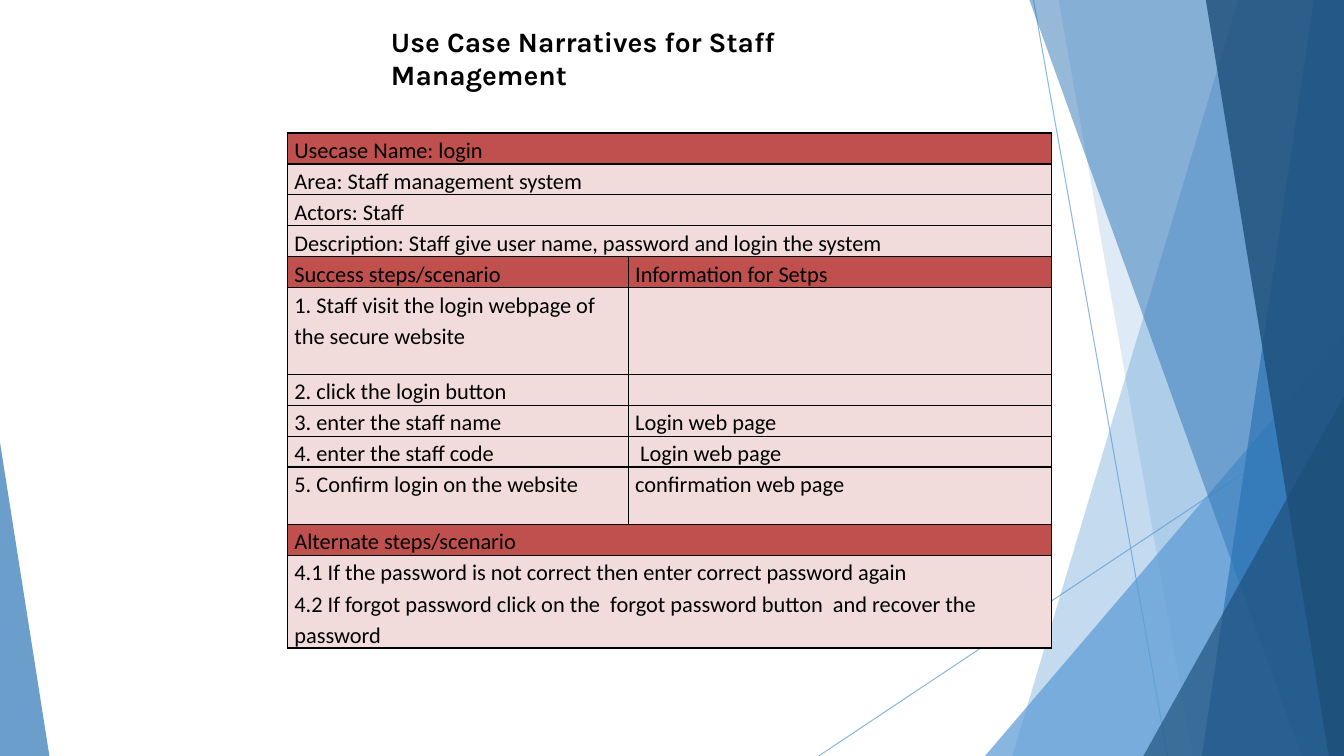
from lxml import etree
from pptx import Presentation
from pptx.dml.color import RGBColor
from pptx.enum.shapes import MSO_CONNECTOR, MSO_SHAPE
from pptx.oxml.ns import qn
from pptx.util import Inches, Pt

STRAIGHT = MSO_CONNECTOR.STRAIGHT
TRIANGLE = MSO_SHAPE.ISOSCELES_TRIANGLE
WIDTH, HEIGHT = 13.33, 7.5
SKY, BLUE, NAVY = "5B9BD5", "2E75B5", "1E4E79"
RED, PINK, BLACK = "C0504D", "F2DBDB", "000000"

TITLE = "Use Case Narratives for Staff Management"
USE_CASE = [
    (RED, 1, ["Usecase Name: login"]),
    (PINK, 1, ["Area: Staff management system"]),
    (PINK, 1, ["Actors: Staff"]),
    (PINK, 1, ["Description: Staff give user name, password and login the system"]),
    (RED, 1, ["Success steps/scenario", "Information for Setps"]),
    (PINK, 3, ["1. Staff visit the login webpage of the secure website", ""]),
    (PINK, 1, ["2. click the login button", ""]),
    (PINK, 1, ["3. enter the staff name", "Login web page"]),
    (PINK, 1, ["4. enter the staff code", " Login web page"]),
    (PINK, 2, ["5. Confirm login on the website", "confirmation web page"]),
    (RED, 1, ["Alternate steps/scenario"]),
    (PINK, 3, ["4.1 If the password is not correct then enter correct password again\n"
               "4.2 If forgot password click on the  forgot password button  and recover the password"]),
]
COLUMN_WIDTHS = [3.38, 4.2]
ROW_HEIGHTS = {1: 0.29, 2: 0.57, 3: 0.86}

RAYS = [((10.25, 0), (11.58, HEIGHT)), ((WIDTH, 4.03), (8.12, HEIGHT))]
FACETS = [
    ("band", 12.28, 10.04, SKY, 36),
    ("band", 10.5, 11.83, SKY, 20),
    ("triangle", 9.77, 3.56, 4.17, 1, SKY, 72),
    ("band", 10.21, 12.91, BLUE, 50),
    ("band", 13.03, 11.92, BLUE, 70),
    ("band", 11.96, 13.18, NAVY, 80),
    ("triangle", 11.34, 1.99, 3.57, 1, NAVY, 66),
    ("triangle", 0, 0.49, 3.11, 0, BLUE, 70),
]


def color(code):
    return RGBColor.from_string(code)


def set_fill(fill, code):
    fill.solid()
    fill.fore_color.rgb = color(code)


def set_opacity(element, percent):
    tint = next(element.iter(qn("a:srgbClr")))
    etree.SubElement(tint, qn("a:alpha"), val=str(percent * 1000))


def finish_facet(shape, code, percent):
    shape.shadow.inherit = False
    set_fill(shape.fill, code)
    set_opacity(shape.fill._xPr, percent)
    shape.line.fill.background()


def add_band(page, top_x, bottom_x, code, percent):
    outline = page.shapes.build_freeform(Inches(top_x), 0)
    corners = [(WIDTH, 0), (WIDTH, HEIGHT), (bottom_x, HEIGHT)]
    outline.add_line_segments([(Inches(x), Inches(y)) for x, y in corners])
    finish_facet(outline.convert_to_shape(), code, percent)


def add_triangle(page, left, width, height, apex, code, percent):
    shape = page.shapes.add_shape(TRIANGLE, Inches(left), Inches(HEIGHT - height),
                                  Inches(width), Inches(height))
    shape.adjustments[0] = apex
    finish_facet(shape, code, percent)


def add_ray(page, start, end):
    ray = page.shapes.add_connector(STRAIGHT, *map(Inches, start + end))
    ray.line.width = Pt(0.75)
    ray.line.color.rgb = color(SKY)
    properties = ray._element.spPr
    set_opacity(properties, 70)
    etree.SubElement(properties, qn("a:effectLst"))


def write(frame, text, font, size, bold=False, spacing=1.0):
    frame.word_wrap = True
    for index, line in enumerate(text.split("\n")):
        para = frame.add_paragraph() if index else frame.paragraphs[0]
        para.line_spacing = spacing
        span = para.add_run()
        span.text = line
        span.font.name = font
        span.font.size = Pt(size)
        span.font.bold = bold
        span.font.color.rgb = color(BLACK)


def style_cell(cell, code):
    cell.margin_left = cell.margin_right = Inches(0.07)
    cell.margin_top = cell.margin_bottom = 0
    properties = cell._tc.get_or_add_tcPr()
    for side in ("lnL", "lnR", "lnT", "lnB"):
        border = etree.SubElement(properties, qn("a:" + side), w=str(Pt(1)))
        paint = etree.SubElement(border, qn("a:solidFill"))
        etree.SubElement(paint, qn("a:srgbClr"), val=BLACK)
    set_fill(cell.fill, code)


def add_use_case(page, left, top):
    heights = [ROW_HEIGHTS[lines] for _, lines, _ in USE_CASE]
    frame = page.shapes.add_table(len(USE_CASE), len(COLUMN_WIDTHS), Inches(left), Inches(top),
                                  Inches(sum(COLUMN_WIDTHS)), Inches(sum(heights)))
    table = frame.table
    for column, width in zip(table.columns, COLUMN_WIDTHS):
        column.width = Inches(width)
    for index, (code, _, texts) in enumerate(USE_CASE):
        table.rows[index].height = Inches(heights[index])
        cells = list(table.rows[index].cells)
        for cell in cells:
            style_cell(cell, code)
        if len(texts) == 1:
            cells[0].merge(cells[1])
        for cell, text in zip(cells, texts):
            if text:
                write(cell.text_frame, text, font="Calibri", size=16, spacing=1.15)


def main():
    deck = Presentation()
    deck.slide_width, deck.slide_height = Inches(WIDTH), Inches(HEIGHT)
    page = deck.slides.add_slide(deck.slide_layouts[6])
    for start, end in RAYS:
        add_ray(page, start, end)
    builders = {"band": add_band, "triangle": add_triangle}
    for kind, *details in FACETS:
        builders[kind](page, *details)
    box = page.shapes.add_textbox(Inches(3.78), Inches(0.19), Inches(5.14), Inches(0.44))
    write(box.text_frame, TITLE, font="Karla", size=20, bold=True)
    add_use_case(page, 2.85, 1.32)
    deck.save("out.pptx")


if __name__ == "__main__":
    main()
